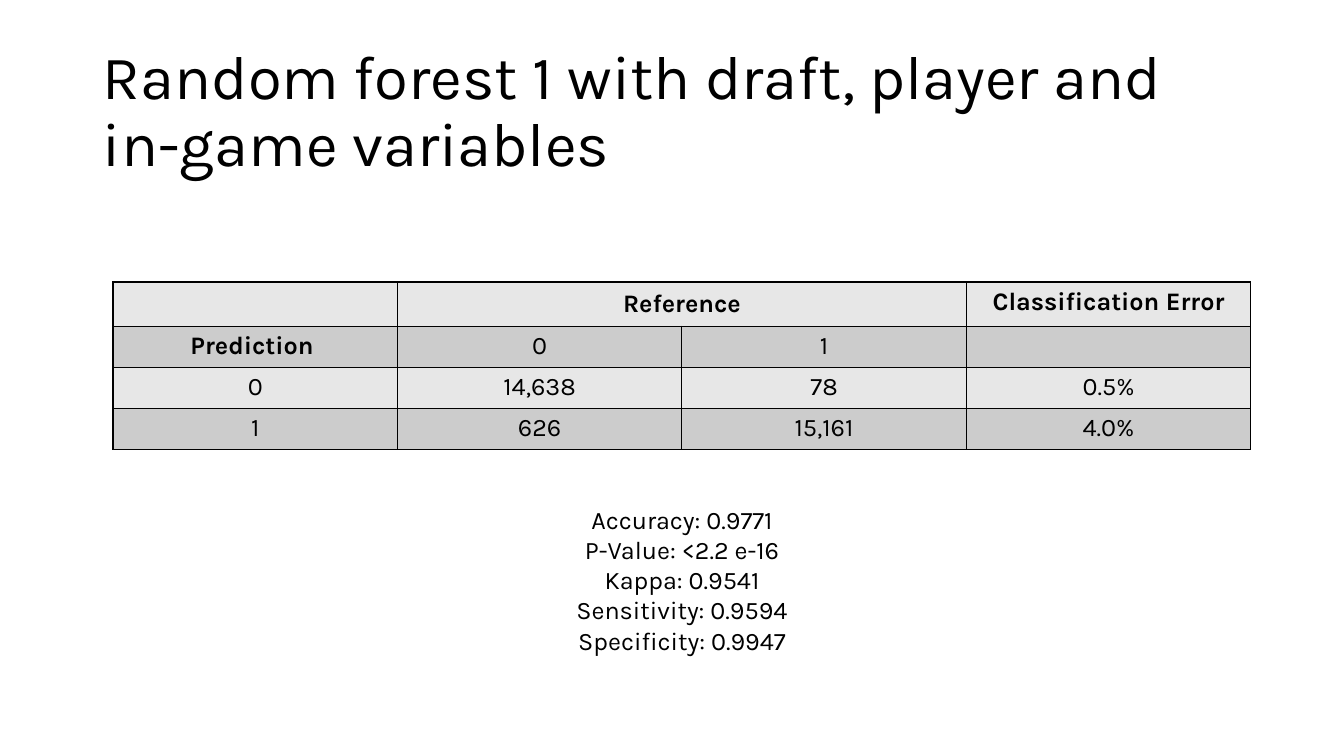
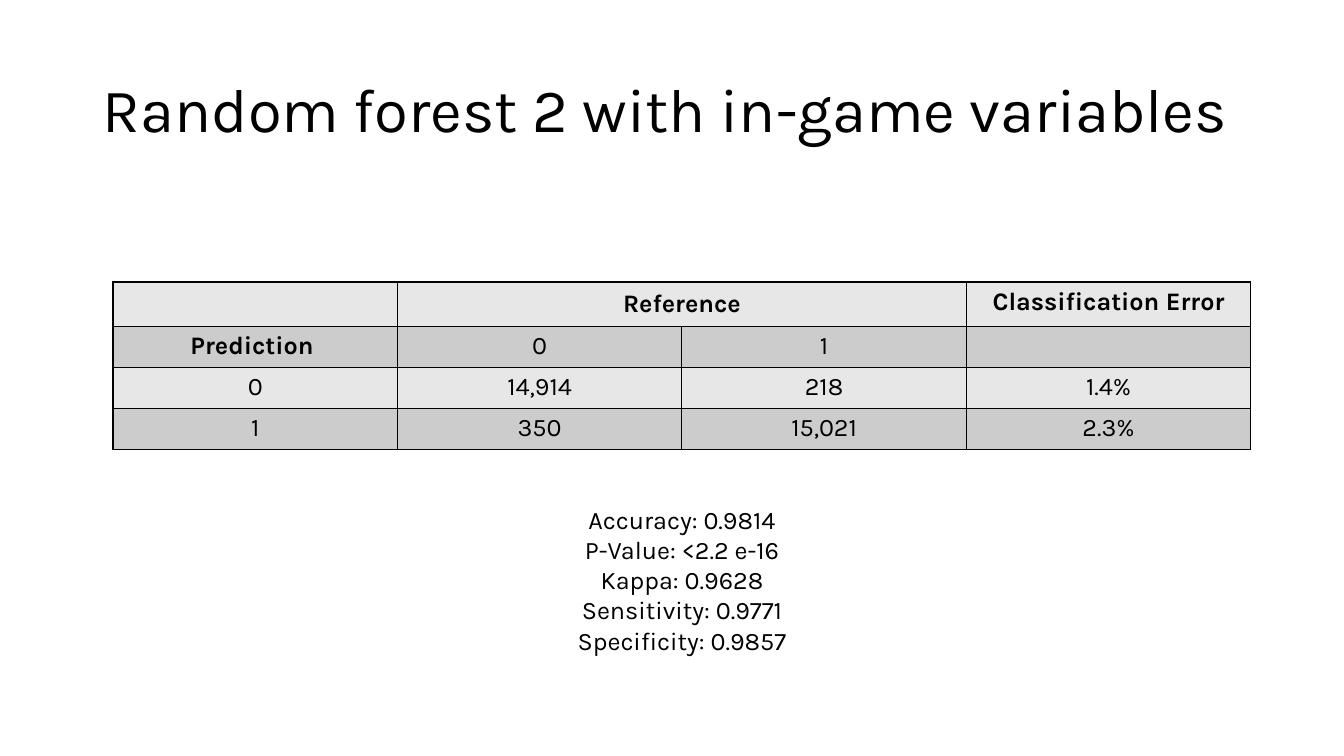
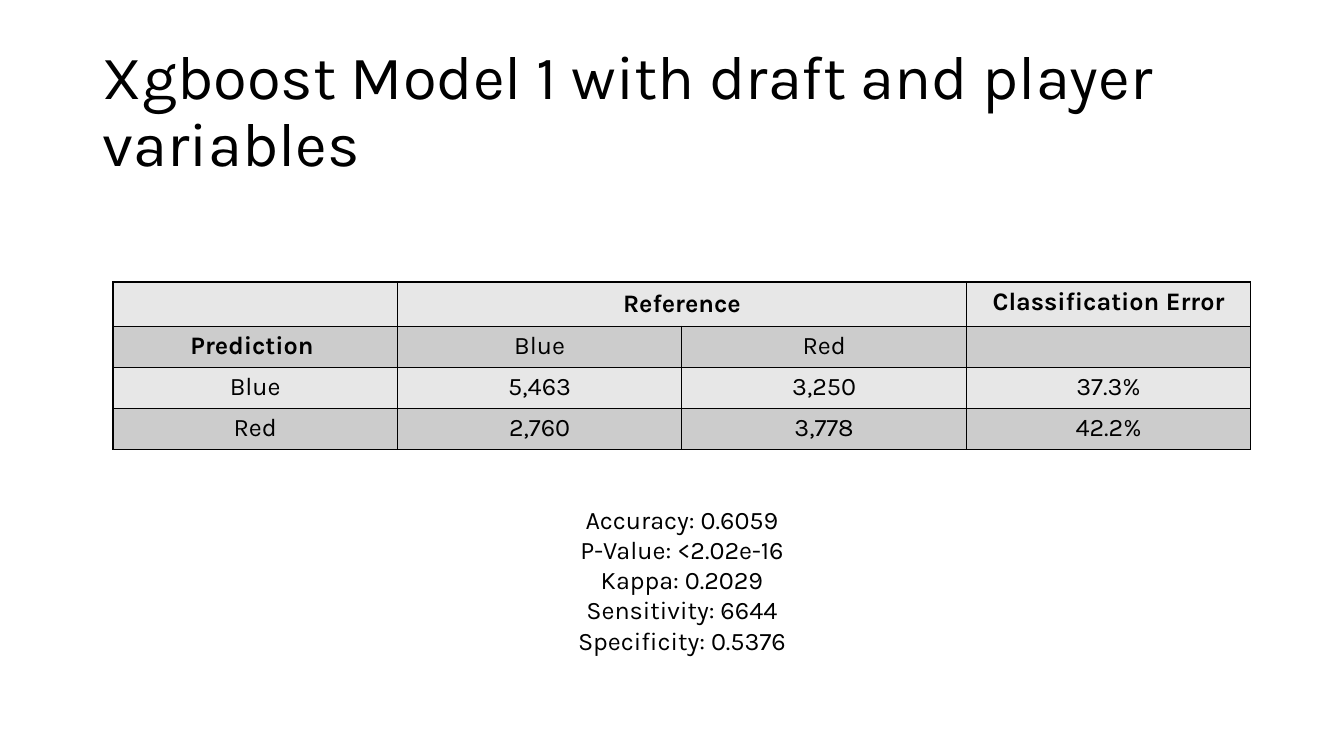
from lxml import etree
from pptx import Presentation
from pptx import util as u
from pptx.dml.color import RGBColor
from pptx.enum import text
from pptx.oxml import ns

SLIDE_WIDTH, SLIDE_HEIGHT = 1344, 756
SCALE = u.Inches(40) / 3 / SLIDE_WIDTH

BLACK = RGBColor(0x00, 0x00, 0x00)
BANDS = RGBColor(0xE7, 0xE7, 0xE7), RGBColor(0xCC, 0xCC, 0xCC)

FONT = "Karla"
TITLE_SIZE, BODY_SIZE = 44, 18
ROW_HEIGHTS = 44, 41, 41, 41
MEASURES = "Accuracy", "P-Value", "Kappa", "Sensitivity", "Specificity"

# Title, class labels, prediction counts with error, measures
MODELS = [
    ("Random forest 1 with draft, player and in-game variables",
     ("0", "1"),
     [("14,638", "78", "0.5%"), ("626", "15,161", "4.0%")],
     ("0.9771", "<2.2 e-16", "0.9541", "0.9594", "0.9947")),
    ("Random forest 2 with in-game variables",
     ("0", "1"),
     [("14,914", "218", "1.4%"), ("350", "15,021", "2.3%")],
     ("0.9814", "<2.2 e-16", "0.9628", "0.9771", "0.9857")),
    ("Xgboost Model 1 with draft and player variables",
     ("Blue", "Red"),
     [("5,463", "3,250", "37.3%"), ("2,760", "3,778", "42.2%")],
     ("0.6059", "<2.02e-16", "0.2029", "0.6644".replace("0.", ""), "0.5376")),
]


def px(length):
    return u.Emu(round(length * SCALE))


def add_borders(cell):
    properties = cell._tc.get_or_add_tcPr()
    for side in "LRTB":
        line = etree.SubElement(properties, ns.qn(f"a:ln{side}"), w=str(u.Pt(1)))
        fill = etree.SubElement(line, ns.qn("a:solidFill"))
        etree.SubElement(fill, ns.qn("a:srgbClr"), val=str(BLACK))


class Deck:
    def __init__(self):
        self.presentation = Presentation()
        self.presentation.slide_width = px(SLIDE_WIDTH)
        self.presentation.slide_height = px(SLIDE_HEIGHT)
        self.slide = None

    def new_slide(self):
        self.slide = self.presentation.slides.add_slide(self.presentation.slide_layouts[6])

    def style(self, paragraph, size=BODY_SIZE, bold=False, align=text.PP_ALIGN.CENTER):
        paragraph.alignment = align
        font = paragraph.font
        font.name, font.size, font.bold = FONT, u.Pt(size), bold
        font.color.rgb = BLACK

    def text_box(self, left, top, width, height, content):
        box = self.slide.shapes.add_textbox(px(left), px(top), px(width), px(height))
        frame = box.text_frame
        frame.word_wrap = True
        frame.text = content
        return frame

    def title(self, content):
        frame = self.text_box(93, 40, 1159, 146, content)
        frame.vertical_anchor = text.MSO_ANCHOR.MIDDLE
        paragraph = frame.paragraphs[0]
        paragraph.line_spacing = 0.9
        self.style(paragraph, TITLE_SIZE, align=text.PP_ALIGN.LEFT)

    def confusion_table(self, labels, results):
        rows = [("", "Reference", "", "Classification Error"),
                ("Prediction ", *labels, "")]
        rows += [(label, *values) for label, values in zip(labels, results)]
        table = self.slide.shapes.add_table(
            len(rows), len(rows[0]), px(113), px(282), px(1138), px(sum(ROW_HEIGHTS))).table
        table.first_row = table.horz_banding = False
        for row_index, values in enumerate(rows):
            table.rows[row_index].height = px(ROW_HEIGHTS[row_index])
            for column_index, value in enumerate(values):
                cell = table.cell(row_index, column_index)
                cell.text = value
                add_borders(cell)
                cell.fill.solid()
                cell.fill.fore_color.rgb = BANDS[row_index % 2]
                heading = row_index == 0 or (row_index, column_index) == (1, 0)
                self.style(cell.text_frame.paragraphs[0], bold=heading)
        reference = table.cell(0, 1)
        reference.merge(table.cell(0, 2))
        reference.margin_left = reference.margin_right = px(14)
        reference.margin_top = reference.margin_bottom = px(7)

    def measures(self, values):
        lines = [f"{name}: {value}" for name, value in zip(MEASURES, values)]
        frame = self.text_box(539, 499, 286, 254, "\n".join(lines))
        for paragraph in frame.paragraphs:
            self.style(paragraph)


def main():
    deck = Deck()
    for title, labels, results, measures in MODELS:
        deck.new_slide()
        deck.title(title)
        deck.confusion_table(labels, results)
        deck.measures(measures)
    deck.presentation.save("out.pptx")


if __name__ == "__main__":
    main()
